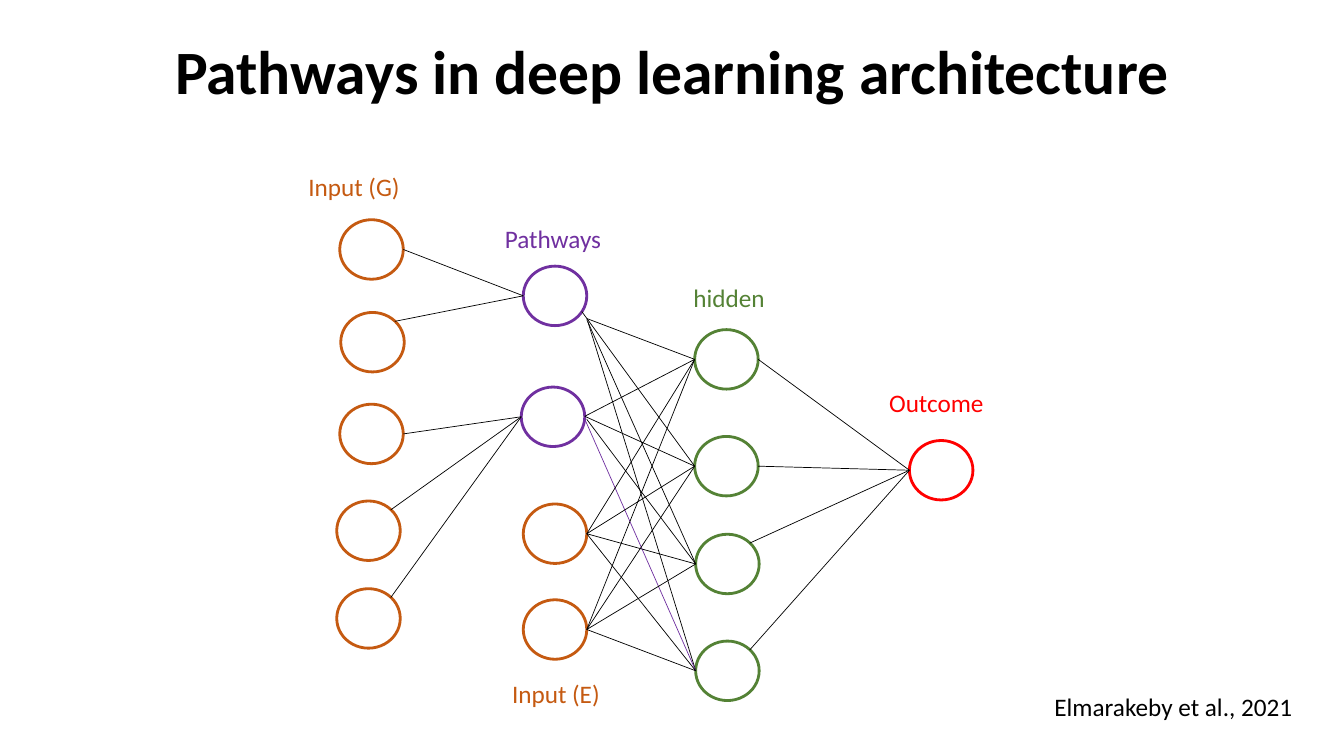
import pptx
import pptx.dml.color
import pptx.enum.shapes
import pptx.enum.text
import pptx.oxml.ns
import pptx.util
from pptx.util import Inches

FONT = "Calibri"
COLOURS = {
    "black": "000000",
    "input": "C55A11",
    "pathway": "7030A0",
    "hidden": "548235",
    "outcome": "FF0000",
}
NODE_WIDTH, NODE_HEIGHT = 0.63, 0.59

# Left, top of every node, by layer
GENES = [(3.37, 2.18), (3.38, 3.1), (3.37, 4.01), (3.34, 4.97), (3.34, 5.84)]
PATHWAYS = [(5.19, 2.64), (5.17, 3.84)]
ENVIRONMENT = [(5.19, 5), (5.19, 5.95)]
HIDDEN = [(6.89, 3.27), (6.89, 4.33), (6.9, 5.3), (6.9, 6.36)]
OUTCOME = (9.02, 4.37)
LAYERS = [
    (GENES, "input"),
    (PATHWAYS, "pathway"),
    (ENVIRONMENT, "input"),
    (HIDDEN, "hidden"),
    ([OUTCOME], "outcome"),
]

# Where the links of each pathway to the hidden nodes start
PATHWAY_STARTS = [
    [(5.82, 3.16), (5.77, 3.09), (5.82, 3.17), (5.83, 3.19)],
    [(5.8, 4.13), (5.8, 4.13), (5.82, 4.16), (5.81, 4.18)],
]

LABELS = [
    ("Input (G)", 2.96, 1.65, 1.45, "input"),
    ("Pathways", 4.91, 2.17, 1.45, "pathway"),
    ("hidden", 6.78, 2.75, 1.07, "hidden"),
    ("Outcome", 8.72, 3.79, 1.23, "outcome"),
    ("Input (E)", 4.98, 6.68, 1.19, "input"),
    ("Elmarakeby et al., 2021", 10.36, 6.81, 2.66, "black"),
]


def rgb(colour):
    return pptx.dml.color.RGBColor.from_string(COLOURS[colour])


def left_side(node):
    return node[0], node[1] + NODE_HEIGHT / 2


def right_side(node):
    return node[0] + NODE_WIDTH, node[1] + NODE_HEIGHT / 2


def upper_right(node):
    """Point on the circle halfway between its top and its right side."""
    return node[0] + NODE_WIDTH * 0.85, node[1] + NODE_HEIGHT * 0.15


def write(frame, text, size=18, colour="black", bold=False, align=None, spacing=None):
    paragraph = frame.paragraphs[0]
    paragraph.alignment = align
    paragraph.line_spacing = spacing
    run = paragraph.add_run()
    run.text = text
    run.font.name = FONT
    run.font.size = pptx.util.Pt(size)
    run.font.bold = bold
    run.font.color.rgb = rgb(colour)


def add_title(slide, text):
    title = slide.shapes.title
    title.left, title.top = Inches(0.92), Inches(0.01)
    title.width, title.height = Inches(11.5), Inches(1.45)
    title.text_frame.vertical_anchor = pptx.enum.text.MSO_ANCHOR.MIDDLE
    write(title.text_frame, text, size=44, bold=True,
          align=pptx.enum.text.PP_ALIGN.CENTER, spacing=0.9)


def add_label(slide, text, left, top, width, colour):
    label = slide.shapes.add_textbox(
        Inches(left), Inches(top), Inches(width), Inches(0.4))
    label.text_frame.word_wrap = True
    label.text_frame.auto_size = pptx.enum.text.MSO_AUTO_SIZE.SHAPE_TO_FIT_TEXT
    write(label.text_frame, text, colour=colour)


def add_node(slide, position, colour):
    left, top = position
    node = slide.shapes.add_shape(
        pptx.enum.shapes.MSO_SHAPE.FLOWCHART_CONNECTOR,
        Inches(left), Inches(top), Inches(NODE_WIDTH), Inches(NODE_HEIGHT))
    node.shadow.inherit = False
    node.fill.background()
    node.line.color.rgb = rgb(colour)
    node.line.width = pptx.util.Pt(2)


def add_link(slide, start, target, colour="black"):
    """Line from a point to the left side of the target node."""
    link = slide.shapes.add_connector(
        pptx.enum.shapes.MSO_CONNECTOR.STRAIGHT,
        *(Inches(value) for value in (*start, *left_side(target))))
    link.line.color.rgb = rgb(colour)
    link.line.width = pptx.util.Pt(0.5)
    properties = link._element.spPr
    properties.append(properties.makeelement(pptx.oxml.ns.qn("a:effectLst"), {}))


def add_links(slide):
    gene_exits = [right_side, upper_right, right_side, upper_right, upper_right]
    for index, (gene, leave) in enumerate(zip(GENES, gene_exits)):
        add_link(slide, leave(gene), PATHWAYS[0 if index < 2 else 1])

    for pathway, starts in enumerate(PATHWAY_STARTS):
        for start, hidden in zip(starts, HIDDEN):
            highlighted = pathway == 1 and hidden == HIDDEN[-1]
            add_link(slide, start, hidden, "pathway" if highlighted else "black")

    for factor in ENVIRONMENT:
        for hidden in HIDDEN:
            add_link(slide, right_side(factor), hidden)

    for index, hidden in enumerate(HIDDEN):
        leave = right_side if index < 2 else upper_right
        add_link(slide, leave(hidden), OUTCOME)


def main():
    deck = pptx.Presentation()
    deck.slide_width, deck.slide_height = Inches(13.33), Inches(7.5)
    slide = deck.slides.add_slide(deck.slide_layouts.get_by_name("Title Only"))
    add_title(slide, "Pathways in deep learning architecture")
    for nodes, colour in LAYERS:
        for position in nodes:
            add_node(slide, position, colour)
    add_links(slide)
    for label in LABELS:
        add_label(slide, *label)
    deck.save("out.pptx")


if __name__ == "__main__":
    main()
